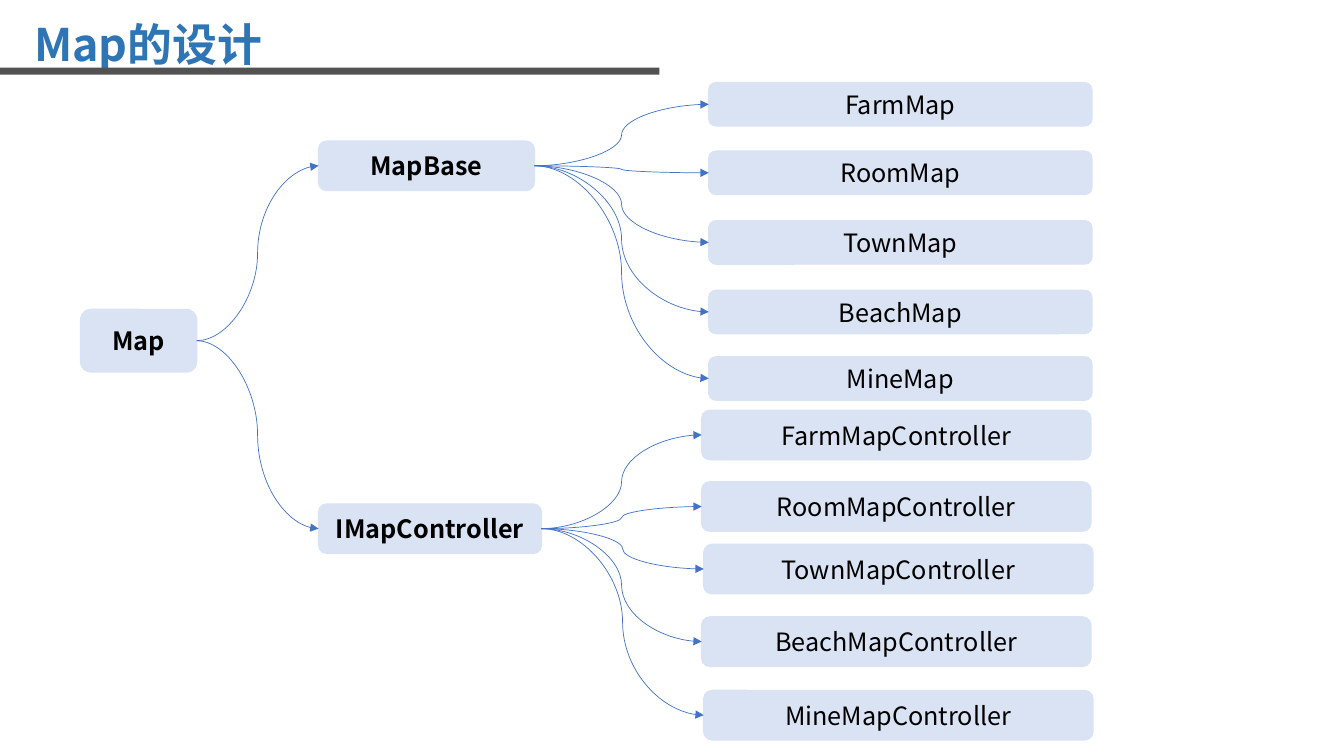
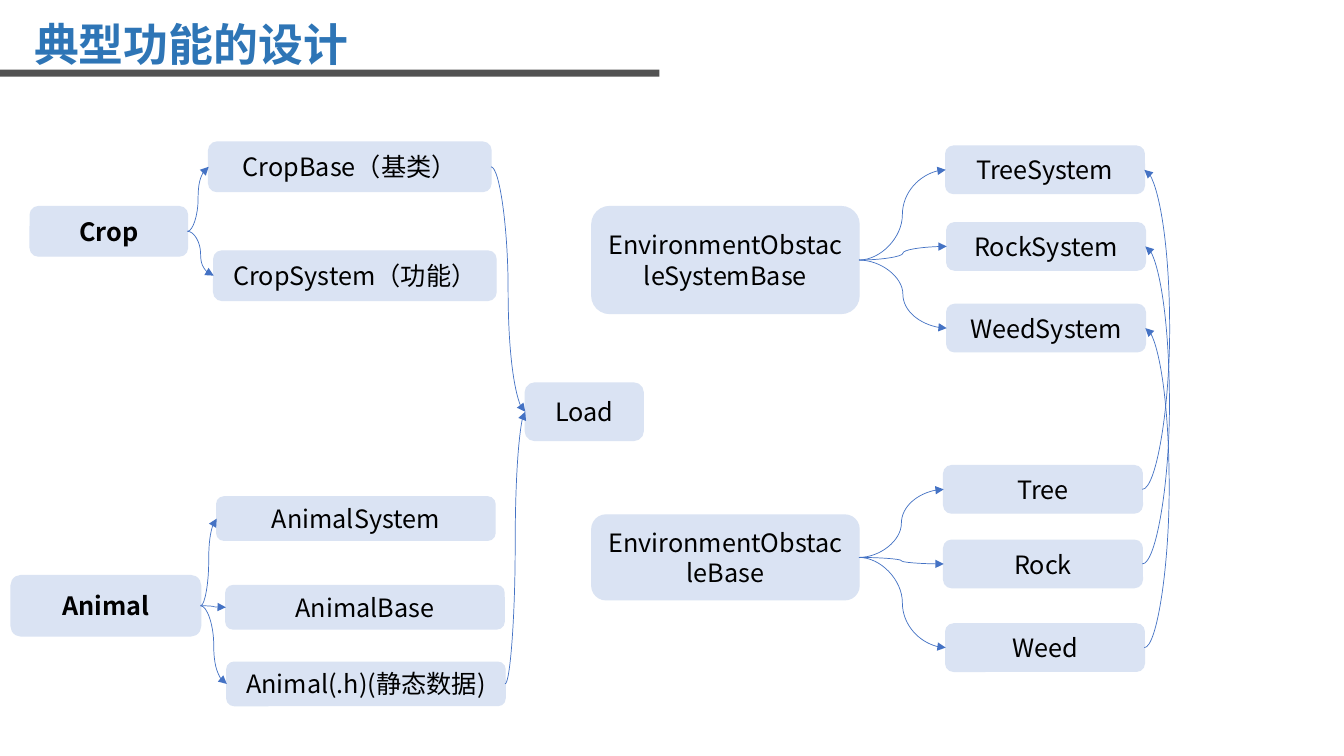
from lxml import etree
from pptx import Presentation
from pptx.dml.color import RGBColor
from pptx.enum.shapes import MSO_CONNECTOR, MSO_SHAPE
from pptx.enum.text import MSO_ANCHOR, PP_ALIGN
from pptx.oxml.ns import qn
from pptx.util import Inches, Pt

RECT, ROUND = MSO_SHAPE.RECTANGLE, MSO_SHAPE.ROUNDED_RECTANGLE
CURVE = MSO_CONNECTOR.CURVE
MIDDLE = MSO_ANCHOR.MIDDLE
LEFT_ALIGN, CENTER = PP_ALIGN.LEFT, PP_ALIGN.CENTER
LEFT, RIGHT = 1, 3  # connection sites

COLORS = {"title": "2E75B6", "bar": "525252", "node": "DAE3F3",
          "text": "000000", "arrow": "4472C4"}
FONT = "Noto Sans CJK SC"
TITLE = {"size": Pt(32), "bold": True}
ROOT = {"size": Pt(18), "bold": True}
NODE = {"size": Pt(18), "bold": False}


def rgb(name):
    return RGBColor.from_string(COLORS[name])


class Deck:
    """Holds the shared style and the current slide."""

    def __init__(self):
        self.prs = Presentation()
        self.prs.slide_width, self.prs.slide_height = Inches(13.33), Inches(7.5)
        self.shapes = None

    def slide(self, title, bar_top):
        self.shapes = self.prs.slides.add_slide(self.prs.slide_layouts[6]).shapes
        sp = self.shapes.add_textbox(*map(Inches, (0.24, -0.26, 11.5, 1.45)))
        self.label(sp, title, TITLE, "title", LEFT_ALIGN)
        sp.text_frame.paragraphs[0].line_spacing = 0.9
        self.block(RECT, "bar", 0, bar_top, 6.54, 0.07)

    def label(self, sp, text, style, color, align):
        tf = sp.text_frame
        tf.word_wrap, tf.vertical_anchor = True, MIDDLE
        p = tf.paragraphs[0]
        p.alignment = align
        r = p.add_run()
        r.text = text
        for key, value in {**style, "name": FONT}.items():
            setattr(r.font, key, value)
        r.font.color.rgb = rgb(color)
        etree.SubElement(r.font._element, qn("a:ea"), typeface=FONT)

    def block(self, kind, color, x, y, w, h):
        sp = self.shapes.add_shape(kind, *map(Inches, (x, y, w, h)))
        sp.shadow.inherit = False
        sp.fill.solid()
        sp.fill.fore_color.rgb = rgb(color)
        sp.line.fill.background()
        return sp

    def node(self, text, x, y, w, h, style=NODE):
        sp = self.block(ROUND, "node", x, y, w, h)
        sp.line.color.rgb = rgb("node")
        sp.line.width = Pt(1)
        self.label(sp, text, style, "text", CENTER)
        return sp

    def arrow(self, start, end, end_site=LEFT, bend_x=None):
        """Curved arrow from a right side; bend_x moves its middle."""
        cn = self.shapes.add_connector(CURVE, 0, 0, 0, 0)
        cn.begin_connect(start, RIGHT)
        cn.end_connect(end, end_site)
        cn.line.color.rgb = rgb("arrow")
        cn.line.width = Pt(0.5)
        sppr = cn._element.spPr
        etree.SubElement(sppr.find(qn("a:ln")), qn("a:tailEnd"), type="triangle")
        etree.SubElement(sppr, qn("a:effectLst"))
        if bend_x is not None:
            ratio = (Inches(bend_x) - cn.begin_x) / (cn.end_x - cn.begin_x)
            geom = sppr.find(qn("a:prstGeom"))
            av = geom.find(qn("a:avLst"))
            if av is None:
                av = etree.SubElement(geom, qn("a:avLst"))
            etree.SubElement(av, qn("a:gd"), name="adj1",
                             fmla=f"val {round(ratio * 100000)}")

    def branch(self, root, size, children):
        """Nodes of one size, given as (text, left, top), each reached from root."""
        nodes = []
        for text, x, y in children:
            nodes.append(self.node(text, x, y, *size))
            self.arrow(root, nodes[-1])
        return nodes


def map_slide(deck):
    deck.slide("Map的设计", 0.67)
    root = deck.node("Map", 0.8, 3.07, 1.15, 0.62, ROOT)
    base = deck.node("MapBase", 3.16, 1.4, 2.14, 0.49, ROOT)
    control = deck.node("IMapController", 3.16, 5, 2.21, 0.49, ROOT)
    for sp in (base, control):
        deck.arrow(root, sp)

    # Each place has a map and a controller
    places = [("Farm", 0.82, 6.96, 4.07), ("Room", 1.5, 6.96, 4.78),
              ("Town", 2.19, 6.98, 5.4), ("Beach", 2.88, 6.96, 6.12),
              ("Mine", 3.54, 6.98, 6.85)]
    deck.branch(base, (3.8, 0.43),
                [(f"{name}Map", 7.03, y) for name, y, _, _ in places])
    deck.branch(control, (3.86, 0.49),
                [(f"{name}MapController", x, y) for name, _, x, y in places])


def feature_slide(deck):
    deck.slide("典型功能的设计", 0.69)

    # Crops and animals, both loaded
    crop = deck.node("Crop", 0.3, 2.05, 1.56, 0.49, ROOT)
    crop_base, _ = deck.branch(crop, (2.8, 0.49), [
        ("CropBase（基类）", 2.07, 1.41), ("CropSystem（功能）", 2.12, 2.49)])
    animal = deck.node("Animal", 0.11, 5.71, 1.88, 0.6, ROOT)
    *_, animal_data = deck.branch(animal, (2.76, 0.43), [
        ("AnimalSystem", 2.15, 4.93), ("AnimalBase", 2.24, 5.81),
        ("Animal(.h)(静态数据)", 2.25, 6.57)])
    load = deck.node("Load", 5.21, 3.8, 1.17, 0.57)
    for sp in (crop_base, animal_data):
        deck.arrow(sp, load)

    # Obstacles and the systems that run them
    size = (1.97, 0.47)
    system_base = deck.node("EnvironmentObstacleSystemBase", 5.87, 2.05, 2.65, 1.06)
    systems = deck.branch(system_base, size, [
        ("TreeSystem", 9.38, 1.45), ("RockSystem", 9.39, 2.21),
        ("WeedSystem", 9.39, 3.02)])
    base = deck.node("EnvironmentObstacleBase", 5.87, 5.11, 2.65, 0.84)
    obstacles = deck.branch(base, size, [
        ("Tree", 9.36, 4.62), ("Rock", 9.36, 5.36), ("Weed", 9.38, 6.19)])
    for obstacle, system in zip(obstacles, systems):
        deck.arrow(obstacle, system, RIGHT, bend_x=11.6)


def main():
    deck = Deck()
    map_slide(deck)
    feature_slide(deck)
    deck.prs.save("out.pptx")


if __name__ == "__main__":
    main()
